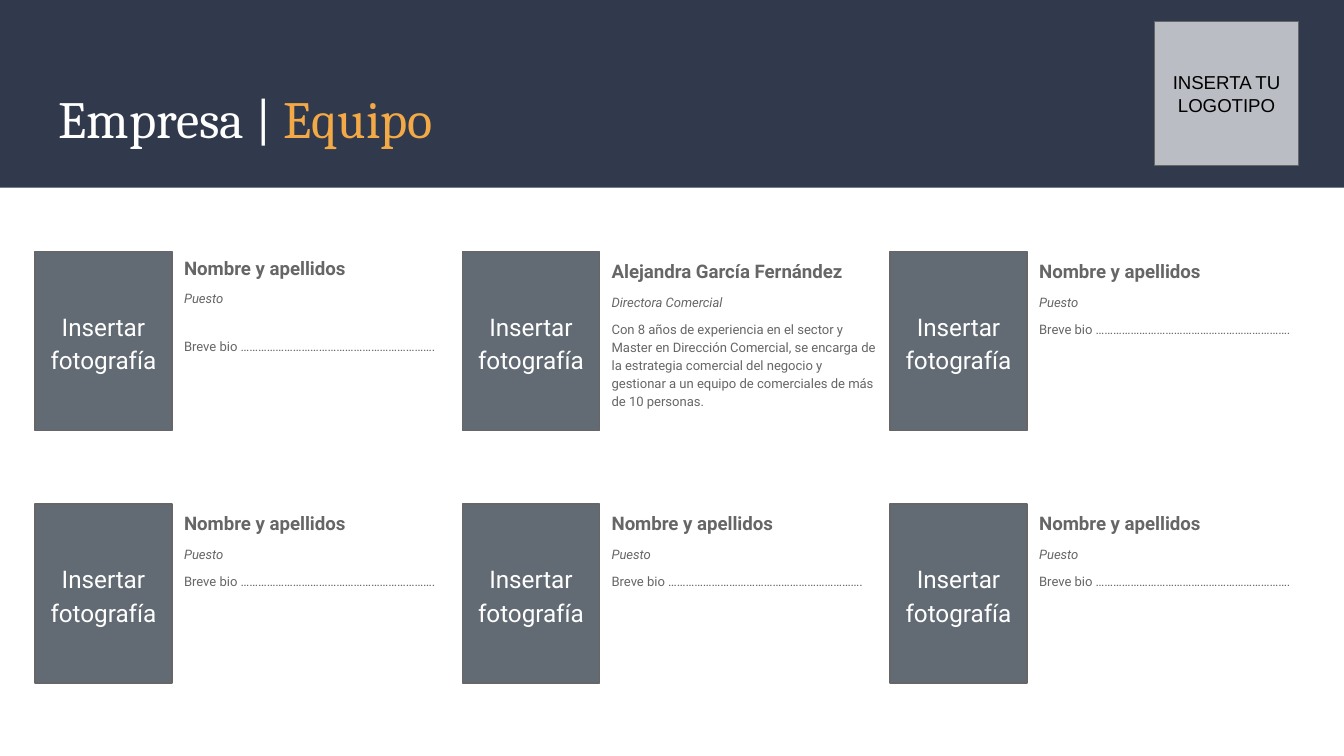
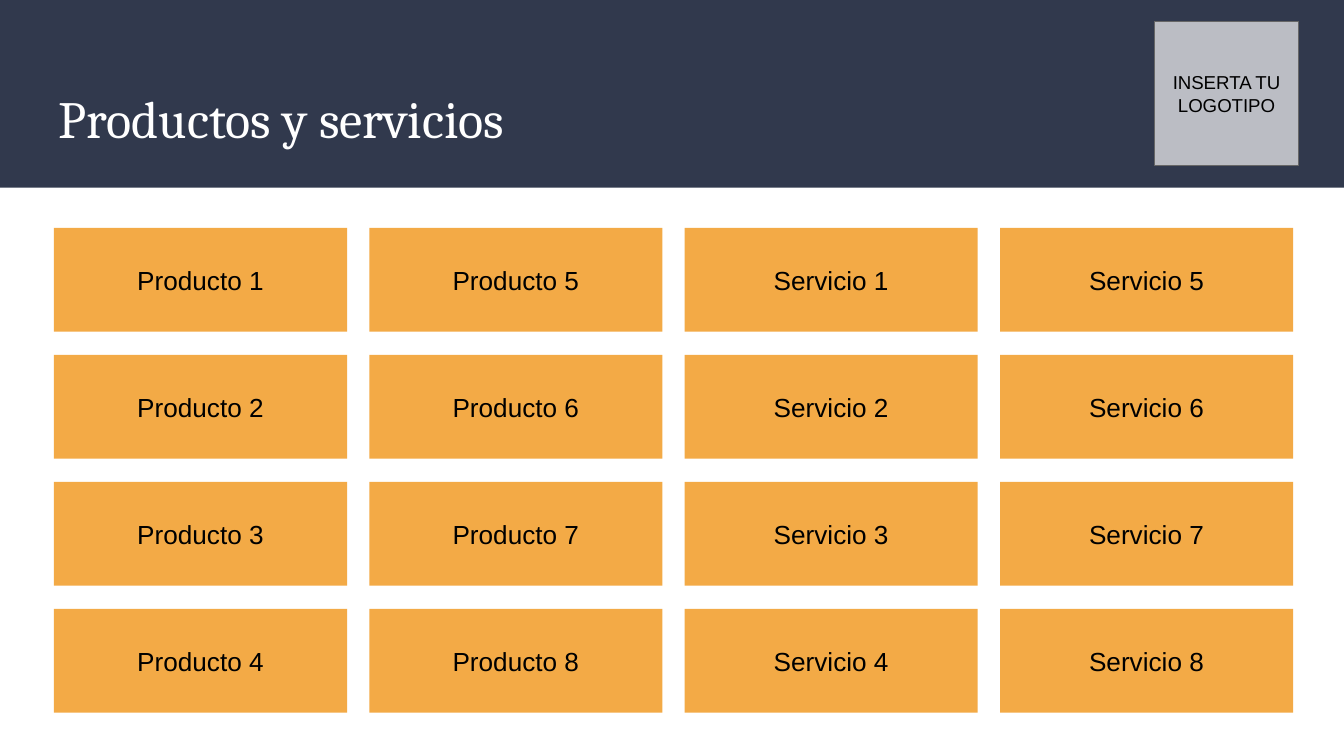
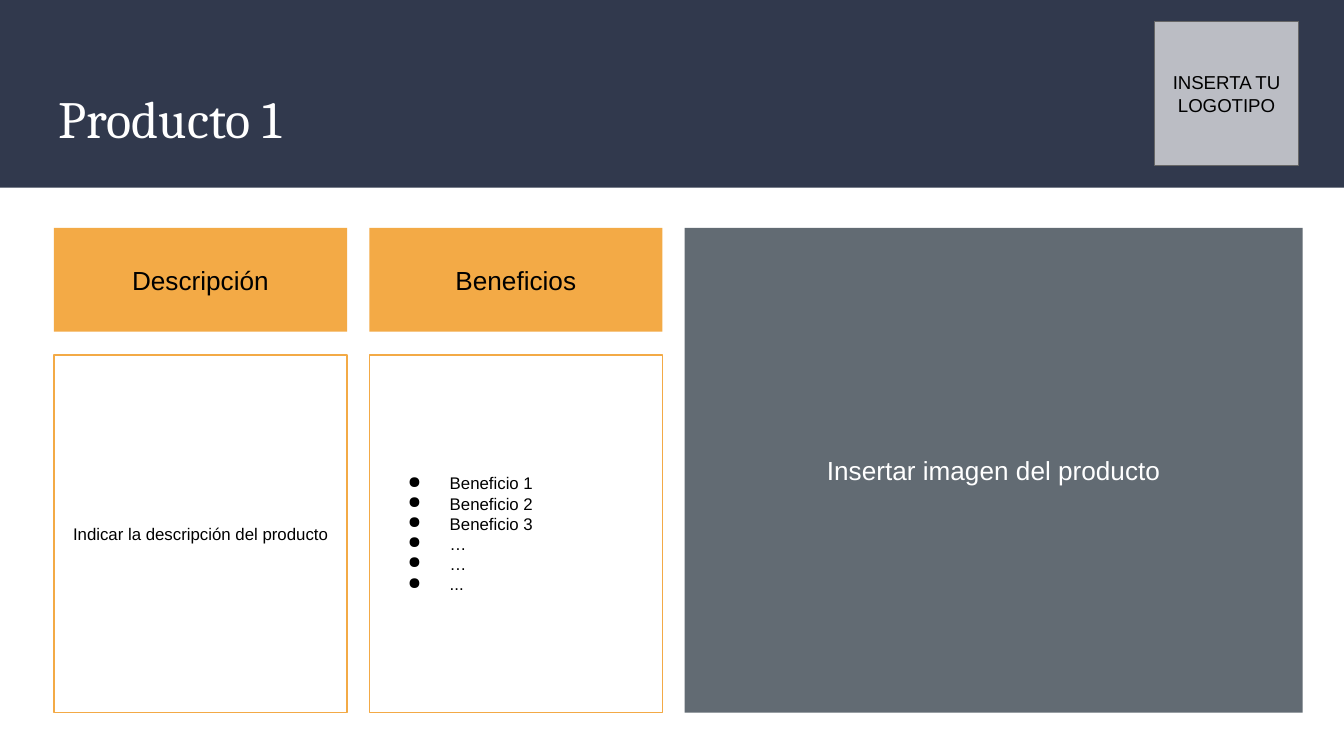
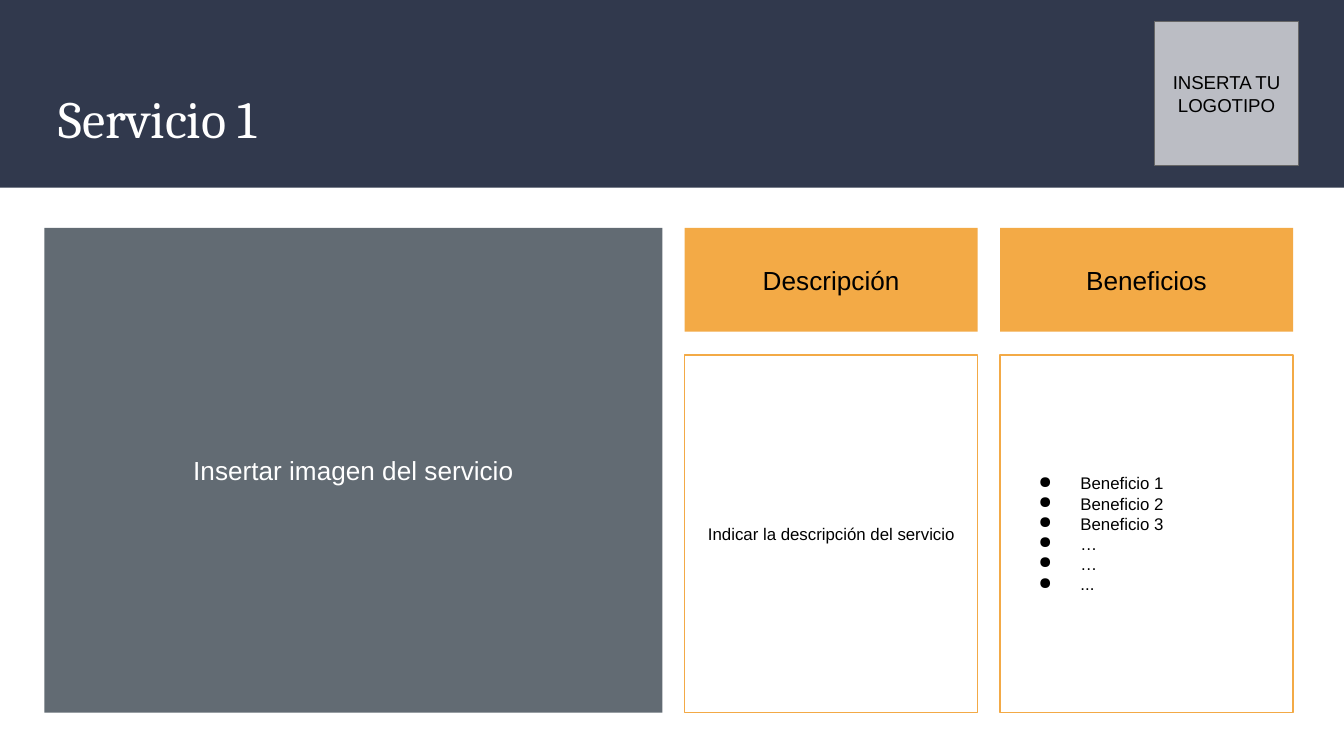
from dataclasses import dataclass

from lxml.etree import SubElement
from pptx import Presentation
from pptx.dml.color import RGBColor
from pptx.enum.shapes import MSO_SHAPE
from pptx.enum.text import MSO_ANCHOR, PP_ALIGN
from pptx.oxml.ns import qn
from pptx.util import Cm, Pt

LOGO_PROMPT = "INSERTA TU LOGOTIPO"
PHOTO_PROMPT = "Insertar fotografía"
BIO_PROMPT = "Breve bio …………………………………………………………."

PENDING_MEMBER = ("Nombre y apellidos", "Puesto", BIO_PROMPT)
SALES_DIRECTOR = (
    "Alejandra García Fernández",
    "Directora Comercial",
    "Con 8 años de experiencia en el sector y Master en Dirección Comercial, "
    "se encarga de la estrategia comercial del negocio y gestionar a un equipo "
    "de comerciales de más de 10 personas.",
)
TEAM = [
    [PENDING_MEMBER, SALES_DIRECTOR, PENDING_MEMBER],
    [PENDING_MEMBER, PENDING_MEMBER, PENDING_MEMBER],
]
OFFER = [f"{kind} {number}" for kind in ("Producto", "Servicio") for number in range(1, 9)]
BENEFITS = ["Beneficio 1", "Beneficio 2", "Beneficio 3", "…", "…", "..."]
DETAILS = [
    {
        "title": "Producto 1",
        "description": "Indicar la descripción del producto",
        "image": "Insertar imagen del producto",
        "first_column": 0,
        "image_left": 12.94,
    },
    {
        "title": "Servicio 1",
        "description": "Indicar la descripción del servicio",
        "image": "Insertar imagen del servicio",
        "first_column": 2,
        "image_left": 0.84,
    },
]


@dataclass(frozen=True)
class Theme:
    navy: str = "31394D"
    orange: str = "F3AA46"
    slate: str = "626B73"
    gray: str = "666666"
    white: str = "FFFFFF"
    black: str = "000000"
    title_font: str = "Cambria"
    label_font: str = "Arial"
    team_font: str = "Roboto"
    title_size: float = 28
    card_size: float = 14
    photo_size: float = 13
    name_size: float = 10
    logo_size: float = 10
    detail_size: float = 9
    bio_size: float = 7
    line_width: float = 0.75
    inset: float = 0.25


THEME = Theme()

GRID_LEFT, GRID_TOP = 1.02, 4.31
CARD_WIDTH, CARD_HEIGHT = 5.54, 1.96
COLUMN_STEP, ROW_STEP = 5.96, 2.4
GRID_ROWS = 4
IMAGE_WIDTH = 11.68

PHOTO_LEFT, PHOTO_TOP = 0.66, 4.76
PHOTO_WIDTH, PHOTO_HEIGHT = 2.59, 3.38
BIO_LEFT, BIO_TOP = 3.23, 4.6
BIO_WIDTH, BIO_HEIGHT = 5.56, 4.27
MEMBER_STEP, TEAM_ROW_STEP = 8.08, 4.77


def style_font(font, name, size, color, bold=False, italic=False):
    font.name = name
    font.size = Pt(size)
    font.color.rgb = RGBColor.from_string(color)
    font.bold = bold
    font.italic = italic


def prepare_frame(shape, anchor):
    frame = shape.text_frame
    frame.word_wrap = True
    frame.vertical_anchor = anchor
    frame.margin_left = frame.margin_right = Cm(THEME.inset)
    frame.margin_top = frame.margin_bottom = Cm(THEME.inset)
    return frame


def add_frame(slide, left, top, width, height):
    area = slide.shapes.add_textbox(Cm(left), Cm(top), Cm(width), Cm(height))
    return prepare_frame(area, MSO_ANCHOR.TOP)


def add_paragraphs(frame, lines):
    for index, line in enumerate(lines):
        paragraph = frame.paragraphs[0] if index == 0 else frame.add_paragraph()
        paragraph.text = line
        yield paragraph


def add_panel(slide, left, top, width, height, fill=None, line=None):
    panel = slide.shapes.add_shape(
        MSO_SHAPE.RECTANGLE, Cm(left), Cm(top), Cm(width), Cm(height)
    )
    panel.shadow.inherit = False
    if fill:
        panel.fill.solid()
        panel.fill.fore_color.rgb = RGBColor.from_string(fill)
    else:
        panel.fill.background()
    if line:
        panel.line.color.rgb = RGBColor.from_string(line)
        panel.line.width = Pt(THEME.line_width)
    else:
        panel.line.fill.background()
    return panel


def label(panel, text, size, color=THEME.black, font=THEME.label_font):
    paragraph = prepare_frame(panel, MSO_ANCHOR.MIDDLE).paragraphs[0]
    paragraph.text = text
    paragraph.alignment = PP_ALIGN.CENTER
    style_font(paragraph.font, font, size, color)
    return paragraph


def add_logo_space(slide):
    logo = add_panel(slide, 21.82, 0.41, 2.72, 2.72, THEME.white, THEME.gray)
    color = logo.fill._xPr.find(qn("a:solidFill"))[0]
    SubElement(color, qn("a:alpha"), val="67000")
    label(logo, LOGO_PROMPT, THEME.logo_size)


def start_slide(deck, title, accent=""):
    slide = deck.slides.add_slide(deck.slide_layouts[6])
    add_panel(slide, 0, 0, 25.4, 3.55, THEME.navy)
    heading = add_frame(slide, 0.86, 1.39, 23.67, 1.73).paragraphs[0]
    style_font(heading.font, THEME.title_font, THEME.title_size, THEME.white)
    heading.add_run().text = title
    if accent:
        highlight = heading.add_run()
        highlight.text = accent
        highlight.font.color.rgb = RGBColor.from_string(THEME.orange)
    add_logo_space(slide)
    return slide


def add_bio(slide, left, top, member, first):
    frame = add_frame(slide, left, top, BIO_WIDTH, BIO_HEIGHT)
    name, position, bio = add_paragraphs(frame, member)
    for paragraph in (name, position, bio):
        paragraph.line_spacing = 1.15
        paragraph.space_after = Pt(5)
    bio.space_after = Pt(16)
    if first:
        name.line_spacing = 1.0
        position.space_after = Pt(16)
    style_font(name.font, THEME.team_font, THEME.name_size, THEME.gray, bold=True)
    style_font(position.font, THEME.team_font, THEME.bio_size, THEME.gray, italic=True)
    style_font(bio.font, THEME.team_font, THEME.bio_size, THEME.gray)


def add_team_slide(deck):
    slide = start_slide(deck, "Empresa | ", "Equipo")
    for row, members in enumerate(TEAM):
        for column, member in enumerate(members):
            across, down = column * MEMBER_STEP, row * TEAM_ROW_STEP
            photo = add_panel(
                slide, PHOTO_LEFT + across, PHOTO_TOP + down,
                PHOTO_WIDTH, PHOTO_HEIGHT, THEME.slate, THEME.gray,
            )
            prompt = label(
                photo, PHOTO_PROMPT, THEME.photo_size, THEME.white, THEME.team_font
            )
            prompt.line_spacing = 1.15
            prompt.space_after = Pt(16)
            add_bio(
                slide, BIO_LEFT + across, BIO_TOP + down, member, row == column == 0
            )


def add_card(slide, column, row, rows=1, fill=None, line=None):
    return add_panel(
        slide, GRID_LEFT + column * COLUMN_STEP, GRID_TOP + row * ROW_STEP,
        CARD_WIDTH, CARD_HEIGHT + (rows - 1) * ROW_STEP, fill, line,
    )


def add_offer_slide(deck):
    slide = start_slide(deck, "Productos y servicios")
    for index, item in enumerate(OFFER):
        column, row = divmod(index, GRID_ROWS)
        label(add_card(slide, column, row, fill=THEME.orange), item, THEME.card_size)


def add_benefits(panel):
    frame = prepare_frame(panel, MSO_ANCHOR.MIDDLE)
    for paragraph in add_paragraphs(frame, BENEFITS):
        paragraph.alignment = PP_ALIGN.LEFT
        style_font(paragraph.font, THEME.label_font, THEME.detail_size, THEME.black)
        properties = paragraph._p.get_or_add_pPr()
        properties.set("marL", str(Cm(1.27)))
        properties.set("indent", str(Cm(-0.79)))
        bullet = SubElement(properties, qn("a:buChar"), char="●")
        properties.find(qn("a:defRPr")).addprevious(bullet)


def add_detail_slide(deck, detail):
    slide = start_slide(deck, detail["title"])
    bodies = []
    for offset, heading in enumerate(("Descripción", "Beneficios")):
        column = detail["first_column"] + offset
        label(add_card(slide, column, 0, fill=THEME.orange), heading, THEME.card_size)
        bodies.append(add_card(slide, column, 1, GRID_ROWS - 1, line=THEME.orange))
    description, benefits = bodies
    label(description, detail["description"], THEME.detail_size)
    add_benefits(benefits)
    image = add_panel(
        slide, detail["image_left"], GRID_TOP, IMAGE_WIDTH,
        CARD_HEIGHT + (GRID_ROWS - 1) * ROW_STEP, THEME.slate,
    )
    label(image, detail["image"], THEME.card_size, THEME.white)


def main():
    deck = Presentation()
    deck.slide_width, deck.slide_height = Cm(25.4), Cm(14.29)
    add_team_slide(deck)
    add_offer_slide(deck)
    for detail in DETAILS:
        add_detail_slide(deck, detail)
    deck.save("out.pptx")


if __name__ == "__main__":
    main()
